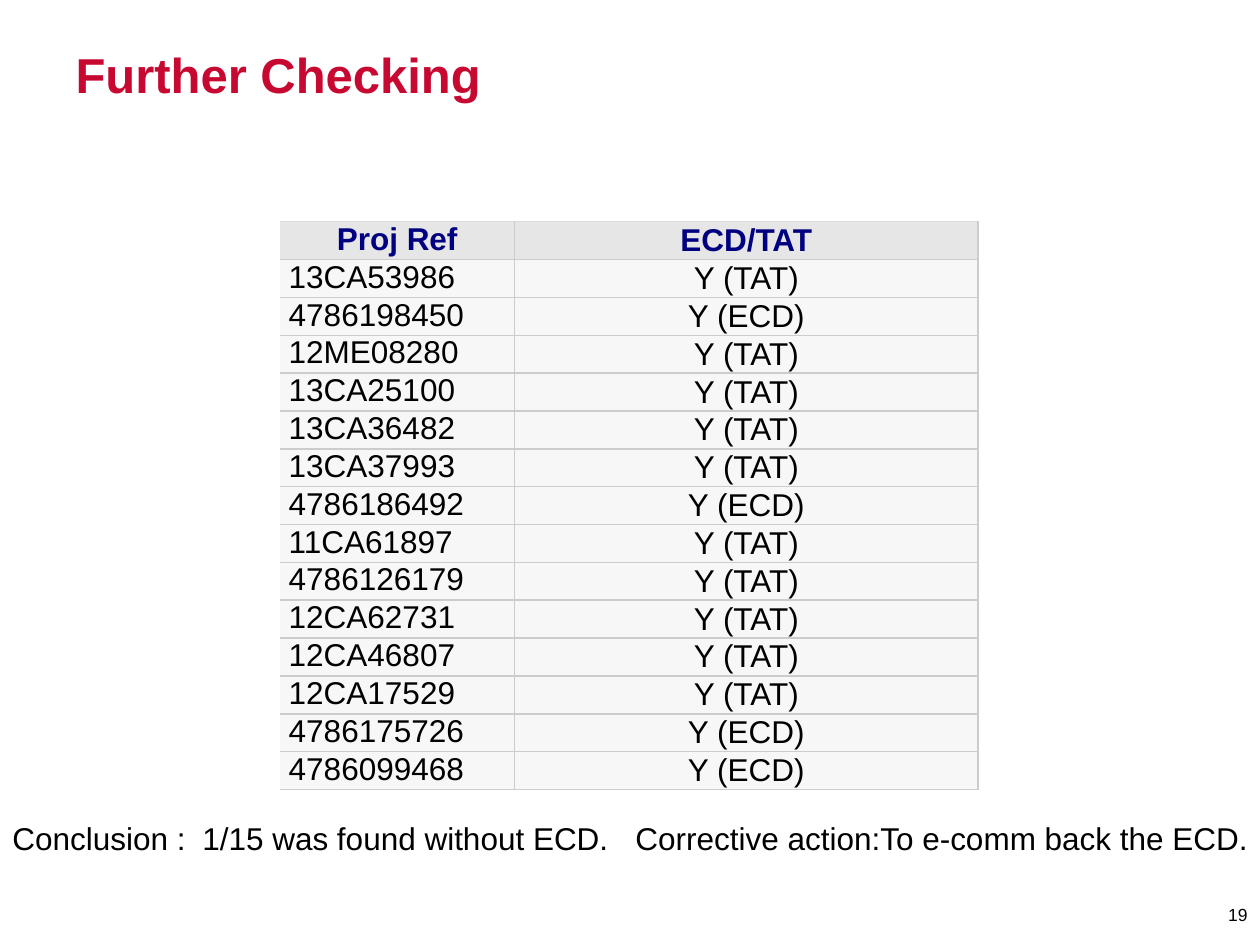
from lxml import etree
from pptx import Presentation
from pptx.dml.color import RGBColor
from pptx.enum import text
from pptx.oxml import ns
from pptx.util import Pt

FONT = "Arial"
PROJECTS = [
    ("13CA53986", "TAT"), ("4786198450", "ECD"), ("12ME08280", "TAT"),
    ("13CA25100", "TAT"), ("13CA36482", "TAT"), ("13CA37993", "TAT"),
    ("4786186492", "ECD"), ("11CA61897", "TAT"), ("4786126179", "TAT"),
    ("12CA62731", "TAT"), ("12CA46807", "TAT"), ("12CA17529", "TAT"),
    ("4786175726", "ECD"), ("4786099468", "ECD"),
]


def colour(value):
    return RGBColor.from_string(value)


def write(frame, words, size=18, ink="000000", bold=False, align="LEFT", tabs=()):
    """Put one formatted paragraph into a text frame."""
    paragraph = frame.paragraphs[0]
    paragraph.text = words
    paragraph.alignment = getattr(text.PP_ALIGN, align)
    if tabs:
        stops = etree.SubElement(paragraph._p.get_or_add_pPr(), ns.qn("a:tabLst"))
        for stop in tabs:
            etree.SubElement(stops, ns.qn("a:tab"), pos=str(Pt(stop)), algn="l")
    for run in paragraph.runs:
        run.font.name, run.font.size, run.font.bold = FONT, Pt(size), bold
        run.font.color.rgb = colour(ink)


def border(cell, **sides):
    """Draw 1 pt cell borders, given in the order L, R, T, B; None hides one."""
    properties = cell._tc.get_or_add_tcPr()
    for side, ink in sides.items():
        line = etree.SubElement(properties, ns.qn(f"a:ln{side}"), w=str(Pt(1)))
        if ink:
            fill = etree.SubElement(line, ns.qn("a:solidFill"))
            etree.SubElement(fill, ns.qn("a:srgbClr"), val=ink)
        else:
            etree.SubElement(line, ns.qn("a:noFill"))


def add_title(slide, left, top, width, height):
    title = slide.shapes.title
    title.left, title.top = Pt(left), Pt(top)
    title.width, title.height = Pt(width), Pt(height)
    title.text_frame.vertical_anchor = text.MSO_ANCHOR.TOP
    write(title.text_frame, "Further Checking", size=28, ink="C70932", bold=True)


def add_projects(slide, left, top, width, header_height, row_height):
    rows = [("Proj Ref", "ECD/TAT")] + [(ref, f"Y ({kind})") for ref, kind in PROJECTS]
    height = header_height + row_height * len(PROJECTS)
    table = slide.shapes.add_table(
        len(rows), 2, Pt(left), Pt(top), Pt(width), Pt(height)).table
    table.horz_banding = False
    ref_width = 134
    table.columns[0].width = Pt(ref_width)
    table.columns[1].width = Pt(width - ref_width)

    for r, row in enumerate(rows):
        header = r == 0
        table.rows[r].height = Pt(header_height if header else row_height)
        for c, words in enumerate(row):
            cell = table.cell(r, c)
            cell.margin_left = cell.margin_right = Pt(5)
            cell.margin_top = cell.margin_bottom = Pt(0)
            cell.vertical_anchor = text.MSO_ANCHOR.MIDDLE if c else text.MSO_ANCHOR.TOP
            border(cell, L="CCCCCC" if c else None, R="CCCCCC",
                   T="DDDDDD" if header else "CCCCCC", B="CCCCCC")
            cell.fill.solid()
            cell.fill.fore_color.rgb = colour("E6E6E6" if header else "F7F7F7")
            write(cell.text_frame, words, bold=header,
                  ink="000080" if header else "000000",
                  align="CENTER" if header or c else "LEFT")


def add_conclusion(slide, left, top, width, height):
    frame = slide.shapes.add_textbox(Pt(left), Pt(top), Pt(width), Pt(height)).text_frame
    frame.word_wrap = False
    write(frame, "Conclusion :\t1/15 was found without ECD.\t"
                 "Corrective action:To e-comm back the ECD.", tabs=(108.5, 356))


def add_page_number(slide, left, top, width, height):
    frame = slide.shapes.add_textbox(Pt(left), Pt(top), Pt(width), Pt(height)).text_frame
    frame.word_wrap = True
    frame.vertical_anchor = text.MSO_ANCHOR.MIDDLE
    write(frame, "19", size=10, align="RIGHT")


def main():
    deck = Presentation()
    deck.slide_width, deck.slide_height = Pt(720), Pt(540)
    slide = deck.slides.add_slide(deck.slide_layouts[5])
    add_title(slide, 36, 21.6, 648, 90)
    add_page_number(slide, 669.6, 508.3, 50.4, 28.8)
    add_projects(slide, 160, 126.7, 399, header_height=13, row_height=20.8)
    add_conclusion(slide, 0, 464.4, 732, 28.8)
    deck.save("out.pptx")


if __name__ == "__main__":
    main()
